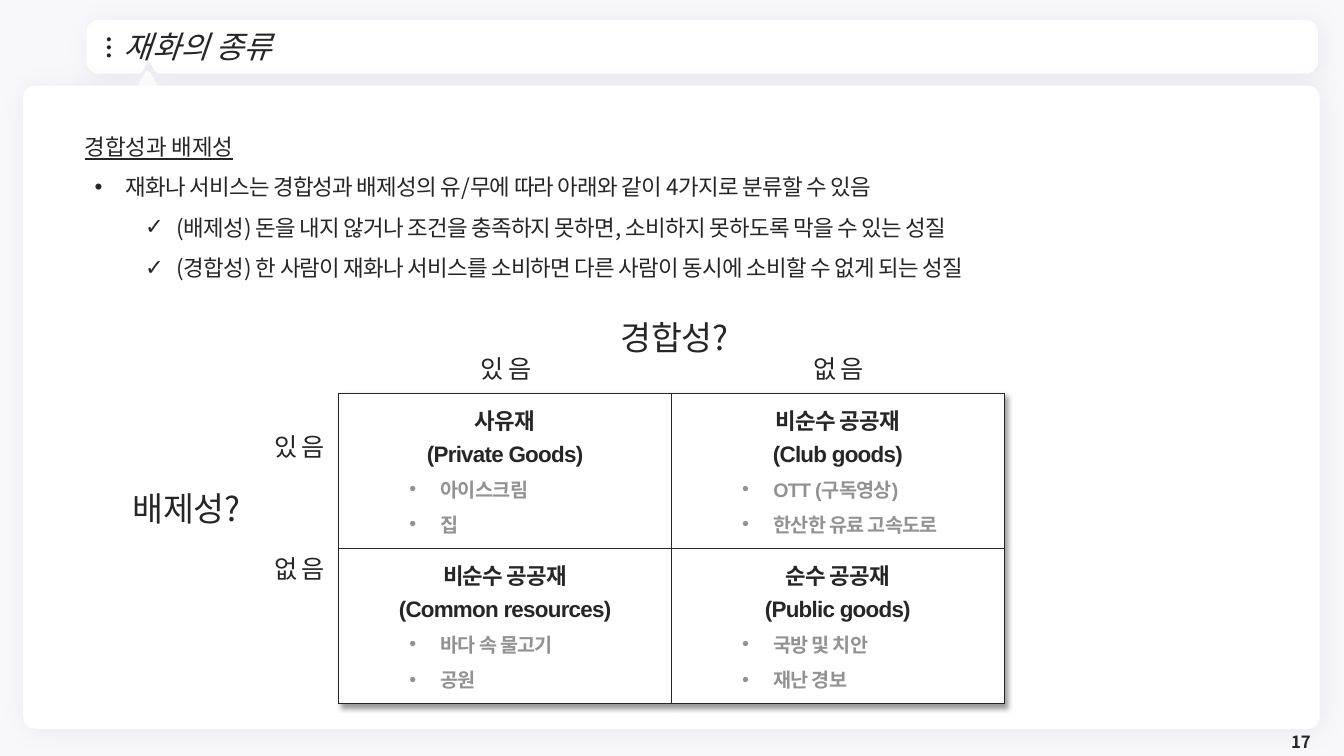
"""Build the slide on kinds of goods by rivalry and excludability."""
import math
from lxml import etree
from pptx import Presentation, util as u
from pptx.dml.color import RGBColor
from pptx.enum import shapes, text
from pptx.oxml import ns

TITLE = "재화의 종류"
PAGE = "17"
SECTION = "경합성과 배제성"
POINTS = [
    (0.41, "•", "재화나 서비스는 경합성과 배제성의 유/무에 따라 아래와 같이 4가지로 분류할 수 있음"),
    (0.91, "✓", "(배제성) 돈을 내지 않거나 조건을 충족하지 못하면, 소비하지 못하도록 막을 수 있는 성질"),
    (0.91, "✓", "(경합성) 한 사람이 재화나 서비스를 소비하면 다른 사람이 동시에 소비할 수 없게 되는 성질"),
]
RIVALRY, EXCLUSION = "경합성?", "배제성?"
ANSWERS = ["있 음", "없 음"]
GOODS = [
    [("사유재", "(Private Goods)", ["아이스크림", "집"]),
     ("비순수 공공재", "(Club goods)", ["OTT (구독영상)", "한산한 유료 고속도로"])],
    [("비순수 공공재", "(Common resources)", ["바다 속 물고기", "공원"]),
     ("순수 공공재", "(Public goods)", ["국방 및 치안", "재난 경보"])],
]

COLORS = {"back": "F8F7FC", "paper": "FFFFFF", "ink": "262626", "muted": "929292", "shade": "000000"}
KOREAN, LATIN = "Noto Sans CJK KR", "Arial"
WIDTH, HEIGHT = 13.33, 7.5
GRID_LEFT, GRID_TOP, COL, ROW = 3.36, 3.9, 3.3, 1.54
BAR = (0.91, 0.25, 13.02, 0.68)
RADIUS = 0.07
HANG = -0.31
LEFT, CENTER, RIGHT = text.PP_ALIGN.LEFT, text.PP_ALIGN.CENTER, text.PP_ALIGN.RIGHT


def color(key):
    return RGBColor.from_string(COLORS[key])


def box(*lengths):
    return [u.Inches(length) for length in lengths]


def add_xml(parent, tag, **attributes):
    child = etree.SubElement(parent, ns.qn(tag))
    for key, value in attributes.items():
        child.set(key, str(value))
    return child


def add_shade(parent, alpha, blur, distance):
    shadow = add_xml(parent, "a:outerShdw", blurRad=u.Pt(blur), dist=u.Pt(distance),
                     dir=45 * 60000, algn="tl", rotWithShape=0)
    add_xml(add_xml(shadow, "a:srgbClr", val=COLORS["shade"]), "a:alpha", val=alpha * 1000)


def paint(part, fill="paper", line=0, shade=False):
    part.shadow.inherit = False
    part.fill.solid()
    part.fill.fore_color.rgb = color(fill)
    if line:
        part.line.color.rgb = color(fill)
        part.line.width = u.Pt(line)
    else:
        part.line.fill.background()
    if shade:
        add_shade(part._element.spPr.find(ns.qn("a:effectLst")), 5, 20, 3)


def write(paragraph, words, size, ink="ink", face=KOREAN, spacing=0, bullet=None, indent=0,
          layout=None, **style):
    if bullet:
        props = paragraph._p.get_or_add_pPr()
        props.set("marL", str(u.Inches(indent)))
        props.set("indent", str(u.Inches(HANG)))
        add_xml(props, "a:buFont", typeface=LATIN)
        add_xml(props, "a:buChar", char=bullet)
    for key, value in (layout or {}).items():
        setattr(paragraph, key, value)
    run = paragraph.add_run()
    run.text = words
    for key, value in {"size": u.Pt(size), "name": face, **style}.items():
        setattr(run.font, key, value)
    run.font.color.rgb = color(ink)
    props = run._r.get_or_add_rPr()
    add_xml(props, "a:ea", typeface=KOREAN)
    if spacing:
        props.set("spc", str(round(spacing * 100)))


def add_frame(slide, place, anchor=text.MSO_ANCHOR.TOP):
    frame = slide.shapes.add_textbox(*box(*place)).text_frame
    frame.word_wrap = True
    frame.vertical_anchor = anchor
    return frame


def add_label(slide, words, center, middle, width, height, size):
    frame = add_frame(slide, (center - width / 2, middle - height / 2, width, height))
    write(frame.paragraphs[0], words, size, spacing=-0.5,
          layout={"alignment": CENTER, "space_after": u.Pt(5)})


def add_backdrop(slide):
    left, top, right, bottom = BAR
    outline = []
    corners = [(right - RADIUS, top + RADIUS, 270), (right - RADIUS, bottom - RADIUS, 0),
               (left + RADIUS, bottom - RADIUS, 90), (left + RADIUS, top + RADIUS, 180)]
    for number, (x, y, start) in enumerate(corners):
        for step in range(0, 91, 15):
            angle = math.radians(start + step)
            outline.append((x + RADIUS * math.cos(angle), y + RADIUS * math.sin(angle)))
        if number == 1:
            outline += [(1.58, bottom), (1.47, 0.5), (1.37, bottom)]
    points = [box(*point) for point in outline]
    bar = slide.shapes.build_freeform(*points[0])
    bar.add_line_segments(points[1:])
    paint(bar.convert_to_shape(), line=7.25, shade=True)

    for number in range(3):
        dot = slide.shapes.add_shape(shapes.MSO_SHAPE.OVAL, *box(1.06, 0.37 + 0.08 * number, 0.04, 0.04))
        paint(dot, "ink")
    pointer = slide.shapes.add_shape(shapes.MSO_SHAPE.ISOSCELES_TRIANGLE, *box(1.35, 0.73, 0.23, 0.2))
    paint(pointer, line=3.75)
    panel = slide.shapes.add_shape(shapes.MSO_SHAPE.ROUNDED_RECTANGLE, *box(0.23, 0.85, 12.86, 6.38))
    panel.adjustments[0] = 0.019
    paint(panel, shade=True)


def fill_cell(cell, name, english, examples):
    props = cell._tc.get_or_add_tcPr()
    for side in ("a:lnL", "a:lnR", "a:lnT", "a:lnB"):
        edge = add_xml(props, side, w=u.Pt(1))
        add_xml(add_xml(edge, "a:solidFill"), "a:srgbClr", val=COLORS["ink"])
    cell.fill.solid()
    cell.fill.fore_color.rgb = color("paper")
    for key, value in {"margin_left": 0.2, "margin_right": 0.2, "margin_top": 0.1, "margin_bottom": 0.1}.items():
        setattr(cell, key, u.Inches(value))
    cell.vertical_anchor = text.MSO_ANCHOR.MIDDLE
    frame = cell.text_frame
    shared = {"face": LATIN, "spacing": -0.5, "bold": True}
    for number, words in enumerate([name, english, *examples]):
        paragraph = frame.add_paragraph() if number else frame.paragraphs[0]
        after = {"space_after": u.Pt(5)}
        if number < 2:
            write(paragraph, words, 16, layout={"alignment": CENTER, **after}, **shared)
        else:
            write(paragraph, words, 14, "muted", bullet="•", indent=0.81,
                  layout={"level": 1, "alignment": LEFT, **after}, **shared)


def add_goods(slide):
    table = slide.shapes.add_table(2, 2, *box(GRID_LEFT, GRID_TOP, 2 * COL, 2 * ROW)).table
    table.first_row = table.horz_banding = False
    effects = etree.Element(ns.qn("a:effectLst"))
    add_shade(effects, 40, 4, 3)
    table._tbl.tblPr.insert(0, effects)
    for row, kinds in enumerate(GOODS):
        for column, kind in enumerate(kinds):
            fill_cell(table.cell(row, column), *kind)


def main():
    deck = Presentation()
    deck.slide_width, deck.slide_height = box(WIDTH, HEIGHT)
    slide = deck.slides.add_slide(deck.slide_layouts[6])
    slide.background.fill.solid()
    slide.background.fill.fore_color.rgb = color("back")
    add_backdrop(slide)

    middle = text.MSO_ANCHOR.MIDDLE
    title = add_frame(slide, (1.13, 0.35, 11.41, 0.26), middle)
    write(title.paragraphs[0], TITLE, 22, italic=True, layout={"line_spacing": 0.9})
    page = add_frame(slide, (10.1, 7.23, 3, 0.26), middle)
    write(page.paragraphs[0], PAGE, 12, bold=True, layout={"alignment": RIGHT})

    add_goods(slide)
    add_label(slide, RIVALRY, GRID_LEFT + COL + 0.03, 3.34, 1.75, 0.5, 24)
    add_label(slide, EXCLUSION, 1.85, 5.04, 1.75, 0.5, 24)
    for number, answer in enumerate(ANSWERS):
        add_label(slide, answer, GRID_LEFT + COL * (number + 0.5) + 0.01, 3.66, 1.11, 0.4, 18)
        add_label(slide, answer, 2.97, 4.43 + 1.21 * number, 1.11, 0.4, 18)

    summary = add_frame(slide, (0.74, 1.14, 12.31, 1.66))
    write(summary.paragraphs[0], SECTION, 16, underline=True, layout={"line_spacing": 1.5})
    for indent, bullet, words in POINTS:
        write(summary.add_paragraph(), words, 16, spacing=-0.5, bullet=bullet, indent=indent,
              layout={"line_spacing": 1.5, "level": int(bullet == "✓")})
    deck.save("out.pptx")


if __name__ == "__main__":
    main()
